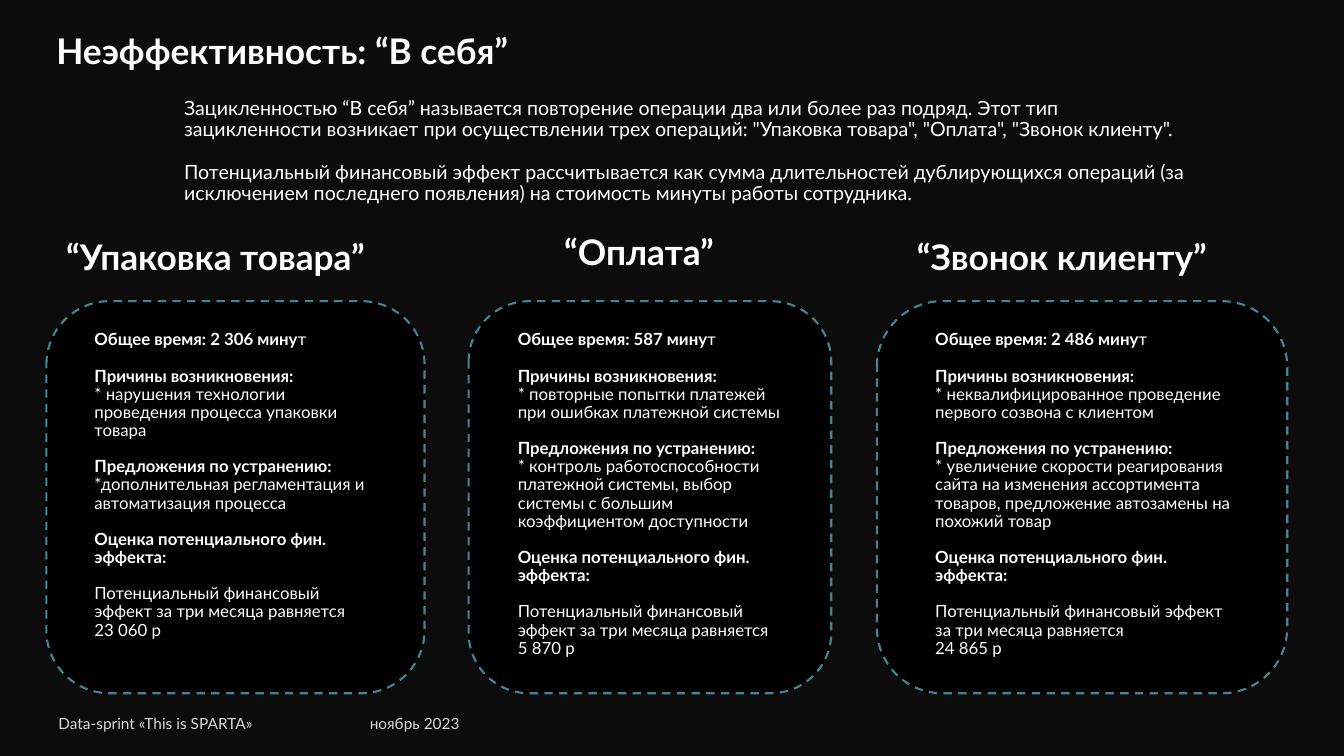
"""Build the slide on operations that loop back into themselves."""
from dataclasses import dataclass

from pptx import Presentation
from pptx import util as u
from pptx.dml.color import RGBColor
from pptx.enum import dml, shapes, text

FONT = "Lato"
WHITE, BLACK, GREY, TEAL, NIGHT = "FFFFFF", "000000", "D8D8D8", "438692", "0C0C0C"
HEADING_SIZE, INTRO_SIZE, CARD_SIZE, FOOTER_SIZE = 25.2, 14, 12, 11
CARD_TOP, CARD_HEIGHT = 7.59, 9.88
BODY_TOP, BODY_HEIGHT = 8.1, 9.17
HEADING_HEIGHT = 0.81
WIDE_INSET, NARROW_INSET = 0.25, 0.13


@dataclass(frozen=True)
class Area:
    left: float
    top: float
    width: float
    height: float

    def lengths(self) -> list:
        return [u.Cm(value) for value in (self.left, self.top, self.width, self.height)]


@dataclass(frozen=True)
class Line:
    spans: tuple
    gap: bool = False


@dataclass(frozen=True)
class Style:
    size: float
    color: str = WHITE
    spacing: float = 0.9
    inset: float = WIDE_INSET
    anchor: text.MSO_ANCHOR = text.MSO_ANCHOR.TOP


@dataclass(frozen=True)
class Operation:
    name: str
    heading: Area
    card_left: float
    card_width: float
    body_left: float
    body_width: float
    minutes: str
    cause: str
    remedy: str
    effect: str


HEADING = Style(HEADING_SIZE, inset=NARROW_INSET, anchor=text.MSO_ANCHOR.MIDDLE)
INTRO = Style(INTRO_SIZE)
BODY = Style(CARD_SIZE)
FOOTER = Style(FOOTER_SIZE, GREY, 1.0, NARROW_INSET)

OPERATIONS = (
    Operation("“Упаковка товара”", Area(1.42, 6.12, 10.34, HEADING_HEIGHT),
              1.17, 9.53, 2.13, 7.7, "2 306",
              "* нарушения технологии проведения процесса упаковки товара",
              "*дополнительная регламентация и автоматизация процесса",
              "23 060 р"),
    Operation("“Оплата”", Area(13.97, 5.99, 4.83, HEADING_HEIGHT),
              11.81, 9.14, 12.8, 7.16, "587",
              "* повторные попытки платежей при ошибках платежной системы",
              "* контроль работоспособности платежной системы, выбор системы "
              "с большим коэффициентом доступности",
              "5 870 р"),
    Operation("“Звонок клиенту”", Area(22.86, 6.12, 10.9, HEADING_HEIGHT),
              22.1, 10.34, 23.32, 8.08, "2 486",
              "* неквалифицированное проведение первого созвона с клиентом",
              "* увеличение скорости реагирования сайта на изменения ассортимента "
              "товаров, предложение автозамены на похожий товар",
              "24 865 р"),
)

INTRO_LINES = (
    Line((("Зацикленностью “В себя” называется повторение операции два или более раз "
           "подряд. Этот тип зацикленности возникает при осуществлении трех операций: "
           '"Упаковка товара", "Оплата", "Звонок клиенту".', False),)),
    Line((("Потенциальный финансовый эффект рассчитывается как сумма длительностей "
           "дублирующихся операций (за исключением последнего появления) на стоимость "
           "минуты работы сотрудника.", False),), gap=True),
)

FOOTERS = (
    ("Data-sprint «This is SPARTA»", Area(1.22, 17.86, 5.97, 1.19)),
    ("ноябрь 2023", Area(9.07, 17.86, 2.87, 0.74)),
)


def paint(target, color: str) -> None:
    target.rgb = RGBColor.from_string(color)


def apply(target, values: dict) -> None:
    for name, value in values.items():
        setattr(target, name, value)


def write(frame, lines: tuple, style: Style) -> None:
    inset = u.Cm(style.inset)
    apply(frame, {
        "word_wrap": True,
        "auto_size": text.MSO_AUTO_SIZE.NONE,
        "vertical_anchor": style.anchor,
        "margin_left": u.Cm(WIDE_INSET),
        "margin_right": u.Cm(WIDE_INSET),
        "margin_top": inset,
        "margin_bottom": inset,
    })
    for index, line in enumerate(lines):
        para = frame.add_paragraph() if index else frame.paragraphs[0]
        apply(para, {
            "alignment": text.PP_ALIGN.LEFT,
            "line_spacing": style.spacing,
            "space_before": u.Pt(style.size * 1.08 if line.gap else 0),
        })
        for words, bold in line.spans:
            span = para.add_run()
            span.text = words
            apply(span.font, {"name": FONT, "size": u.Pt(style.size), "bold": bold})
            paint(span.font.color, style.color)


def add_text(page, area: Area, lines: tuple, style: Style) -> None:
    box = page.shapes.add_textbox(*area.lengths())
    write(box.text_frame, lines, style)


def add_card(page, area: Area) -> None:
    card = page.shapes.add_shape(shapes.MSO_SHAPE.ROUNDED_RECTANGLE, *area.lengths())
    card.adjustments[0] = 0.167
    card.shadow.inherit = False
    card.fill.solid()
    paint(card.fill.fore_color, BLACK)
    paint(card.line.color, TEAL)
    apply(card.line, {"width": u.Pt(1.5), "dash_style": dml.MSO_LINE.DASH})


def body_lines(operation: Operation) -> tuple:
    return (
        Line(((f"Общее время: {operation.minutes} мину", True), ("т", False))),
        Line((("Причины возникновения:", True),), gap=True),
        Line(((operation.cause, False),)),
        Line((("Предложения по устранению:", True),), gap=True),
        Line(((operation.remedy, False),)),
        Line((("Оценка потенциального фин. эффекта:", True),), gap=True),
        Line((("Потенциальный финансовый эффект за три месяца равняется", False),), gap=True),
        Line(((operation.effect, False),)),
    )


def add_operation(page, operation: Operation) -> None:
    add_card(page, Area(operation.card_left, CARD_TOP, operation.card_width, CARD_HEIGHT))
    add_text(page, operation.heading, (Line(((operation.name, True),)),), HEADING)
    body = Area(operation.body_left, BODY_TOP, operation.body_width, BODY_HEIGHT)
    add_text(page, body, body_lines(operation), BODY)


def add_title(page) -> None:
    title = page.shapes.title
    area = Area(1.17, 0.94, 19.79, HEADING_HEIGHT)
    apply(title, dict(zip(("left", "top", "width", "height"), area.lengths())))
    write(title.text_frame, (Line((("Неэффективность: “В себя”", True),)),), HEADING)


def main() -> None:
    deck = Presentation()
    apply(deck, {"slide_width": u.Cm(33.87), "slide_height": u.Cm(19.05)})
    page = deck.slides.add_slide(deck.slide_layouts[5])
    page.background.fill.solid()
    paint(page.background.fill.fore_color, NIGHT)
    add_title(page)
    add_text(page, Area(4.39, 2.24, 26.09, 3.73), INTRO_LINES, INTRO)
    for operation in OPERATIONS:
        add_operation(page, operation)
    for words, area in FOOTERS:
        add_text(page, area, (Line(((words, False),)),), FOOTER)
    deck.save("out.pptx")


if __name__ == "__main__":
    main()
